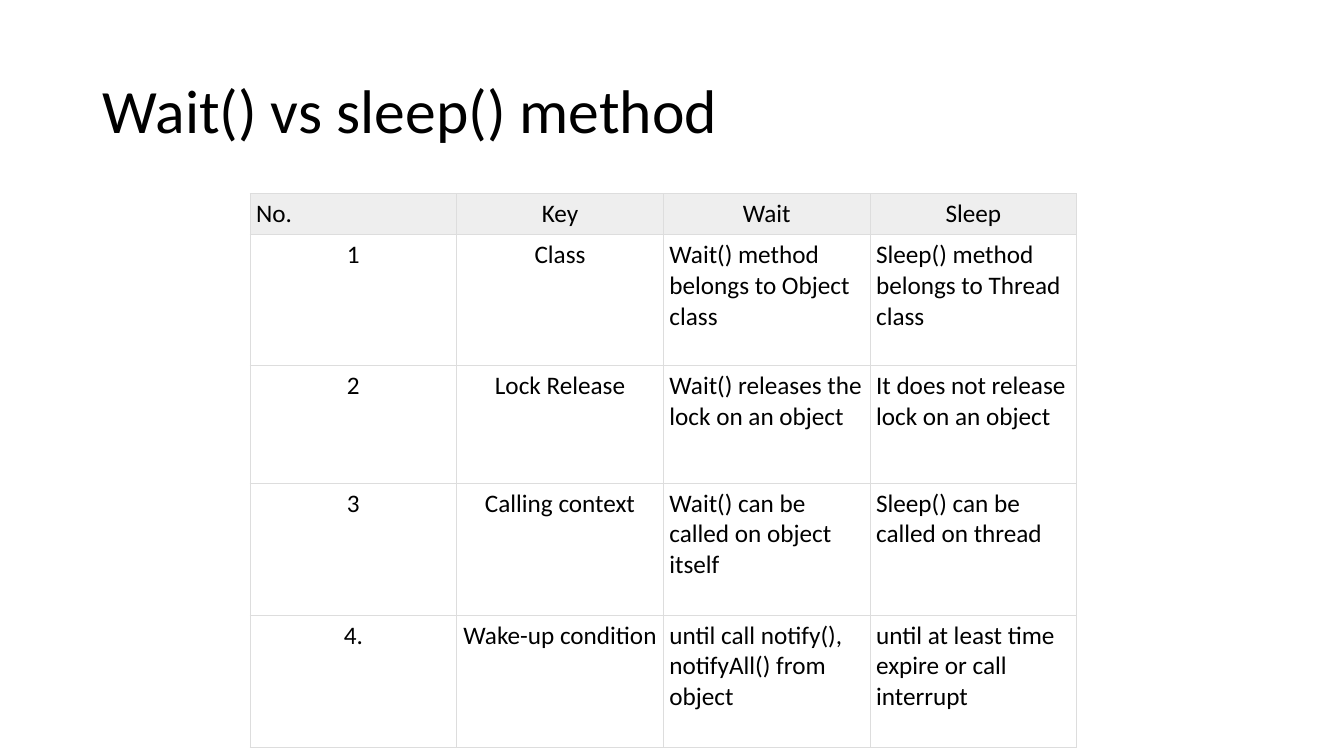
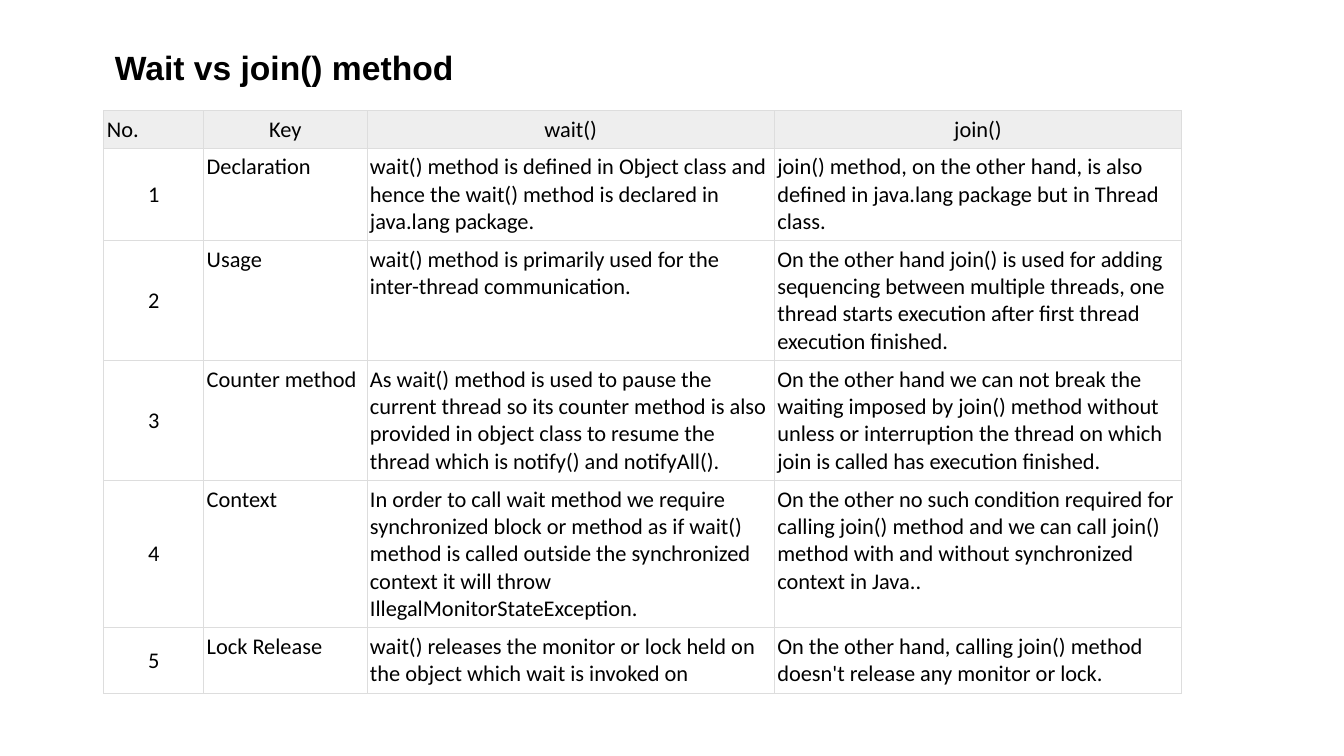
"""Build two slides that compare Java thread methods in tables."""
import dataclasses
import typing

import lxml.etree
import pptx
import pptx.dml.color
import pptx.enum.text
import pptx.oxml.ns
import pptx.util

BLACK = pptx.dml.color.RGBColor(0x00, 0x00, 0x00)
HEADER_FILL = pptx.dml.color.RGBColor(0xEE, 0xEE, 0xEE)
BORDER = pptx.dml.color.RGBColor(0xDD, 0xDD, 0xDD)
SLIDE_W = pptx.util.Inches(13.33)
SLIDE_H = pptx.util.Inches(7.5)
BORDER_W = pptx.util.Pt(0.75)
CELL_PAD_Y = pptx.util.Inches(0.05)
TITLE_ONLY = 5
ALIGN = pptx.enum.text.PP_ALIGN
ANCHOR = pptx.enum.text.MSO_ANCHOR


@dataclasses.dataclass(frozen=True)
class Title:
    text: str
    box: tuple[float, float, float, float]
    size: float
    font: str = "Calibri"
    bold: bool = False


@dataclasses.dataclass(frozen=True)
class Comparison:
    left: float
    top: float
    cols: list[float]
    rows: list[float]
    size: float
    pad: float
    centred_cols: int
    number_anchor: typing.Any
    cells: list[list[str]]


def across(percent: float) -> int:
    return round(SLIDE_W * percent / 100)


def down(percent: float) -> int:
    return round(SLIDE_H * percent / 100)


def write(tf, text: str, *, size: float, font: str = "Calibri", bold: bool = False,
          align=ALIGN.LEFT, spacing: float = 1.0) -> None:
    tf.word_wrap = True
    p = tf.paragraphs[0]
    p.alignment = align
    p.line_spacing = spacing
    r = p.add_run()
    r.text = text
    r.font.size = pptx.util.Pt(size)
    r.font.name = font
    r.font.bold = bold
    r.font.color.rgb = BLACK


def add_borders(cell) -> None:
    tc_pr = cell._tc.get_or_add_tcPr()
    qn = pptx.oxml.ns.qn
    for i, side in enumerate(("a:lnL", "a:lnR", "a:lnT", "a:lnB")):
        ln = lxml.etree.Element(qn(side), w=str(BORDER_W))
        fill = lxml.etree.SubElement(ln, qn("a:solidFill"))
        lxml.etree.SubElement(fill, qn("a:srgbClr"), val=str(BORDER))
        tc_pr.insert(i, ln)


def add_title(s, title: Title) -> None:
    sp = s.shapes.title
    left, top, width, height = title.box
    sp.left, sp.top = across(left), down(top)
    sp.width, sp.height = across(width), down(height)
    tf = sp.text_frame
    tf.auto_size = pptx.enum.text.MSO_AUTO_SIZE.NONE
    tf.vertical_anchor = ANCHOR.MIDDLE
    write(tf, title.text, size=title.size, font=title.font, bold=title.bold, spacing=0.9)


def add_comparison(s, spec: Comparison) -> None:
    table = s.shapes.add_table(
        len(spec.rows), len(spec.cols), across(spec.left), down(spec.top),
        across(sum(spec.cols)), down(sum(spec.rows))).table
    table.first_row = table.horz_banding = False
    for column, width in zip(table.columns, spec.cols):
        column.width = across(width)
    for row, height in zip(table.rows, spec.rows):
        row.height = down(height)
    for i, texts in enumerate(spec.cells):
        for j, text in enumerate(texts):
            cell = table.cell(i, j)
            header = i == 0
            centred = j > 0 if header else j < spec.centred_cols
            cell.margin_left = cell.margin_right = pptx.util.Inches(spec.pad)
            cell.margin_top = cell.margin_bottom = CELL_PAD_Y
            cell.vertical_anchor = spec.number_anchor if j == 0 and not header else ANCHOR.TOP
            if header:
                cell.fill.solid()
                cell.fill.fore_color.rgb = HEADER_FILL
            else:
                cell.fill.background()
            add_borders(cell)
            write(cell.text_frame, text, size=spec.size,
                  align=ALIGN.CENTER if centred else ALIGN.LEFT)


SLIDES = [
    (
        Title("Wait() vs sleep() method", (6.9, 5.33, 86.27, 19.33), 44),
        Comparison(
            left=18.6, top=25.6, cols=[15.38] * 4,
            rows=[5.42, 17.3, 15.6, 17.45, 17.45],
            size=18, pad=0.06, centred_cols=2, number_anchor=ANCHOR.TOP,
            cells=[
                ["No.", "Key", "Wait", "Sleep"],
                ["1", "Class", "Wait() method belongs to Object class",
                 "Sleep() method belongs to Thread class"],
                ["2", "Lock Release", "Wait() releases the lock on an object",
                 "It does not release lock on an object"],
                ["3", "Calling context", "Wait() can be called on object itself",
                 "Sleep() can be called on thread"],
                ["4.", "Wake-up condition", "until call notify(), notifyAll() from object",
                 "until at least time expire or call interrupt"],
            ]),
    ),
    (
        Title("Wait vs join() method", (7.8, 5.33, 85.3, 7.87), 24, "Arial", True),
        Comparison(
            left=7.73, top=14.67, cols=[7.43, 12.15, 30.31, 30.31],
            rows=[4.95, 12.2, 15.87, 15.87, 19.45, 8.67],
            size=16, pad=0.03, centred_cols=1, number_anchor=ANCHOR.MIDDLE,
            cells=[
                ["No.", "Key", "wait()", "join()"],
                ["1", "Declaration",
                 "wait() method is defined in Object class and hence the wait() method "
                 "is declared in java.lang package.",
                 "join() method, on the other hand, is also defined in java.lang package "
                 "but in Thread class."],
                ["2", "Usage",
                 "wait() method is primarily used for the inter-thread communication.",
                 "On the other hand join() is used for adding sequencing between multiple "
                 "threads, one thread starts execution after first thread execution finished."],
                ["3", "Counter method",
                 "As wait() method is used to pause the current thread so its counter method "
                 "is also provided in object class to resume the thread which is notify() "
                 "and notifyAll().",
                 "On the other hand we can not break the waiting imposed by join() method "
                 "without unless or interruption the thread on which join is called has "
                 "execution finished."],
                ["4", "Context",
                 "In order to call wait method we require synchronized block or method as if "
                 "wait() method is called outside the synchronized context it will throw "
                 "IllegalMonitorStateException.",
                 "On the other no such condition required for calling join() method and we "
                 "can call join() method with and without synchronized context in Java.."],
                ["5", "Lock Release",
                 "wait() releases the monitor or lock held on the object which wait is "
                 "invoked on",
                 "On the other hand, calling join() method doesn't release any monitor "
                 "or lock."],
            ]),
    ),
]


def main() -> None:
    prs = pptx.Presentation()
    prs.slide_width, prs.slide_height = SLIDE_W, SLIDE_H
    for title, comparison in SLIDES:
        s = prs.slides.add_slide(prs.slide_layouts[TITLE_ONLY])
        add_title(s, title)
        add_comparison(s, comparison)
    prs.save("out.pptx")


if __name__ == "__main__":
    main()
